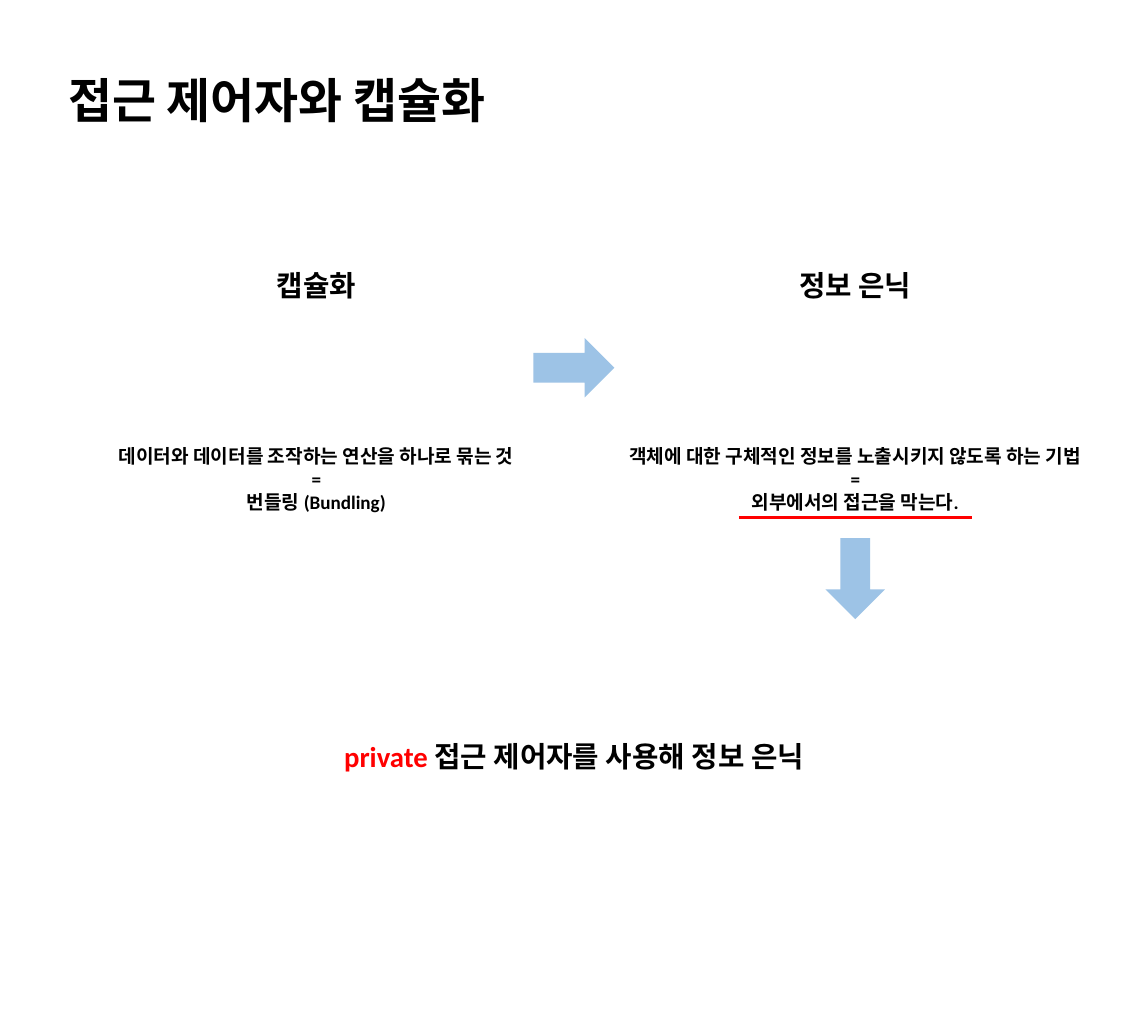
from dataclasses import dataclass

from lxml.etree import SubElement
from pptx import Presentation
from pptx.dml.color import RGBColor as RGB
from pptx.enum.shapes import MSO_CONNECTOR as Link, MSO_SHAPE as Kind
from pptx.enum.text import MSO_ANCHOR as Anchor, MSO_AUTO_SIZE as Fit, PP_ALIGN as Align
from pptx.oxml.ns import qn
from pptx.util import Inches, Pt

WIDE, HIGH = Inches(13.33), Inches(11.81)
# Column centres, in percent of the slide's width
LEFT, MID, RIGHT = 27.55, 50, 74.5
BLACK, RED, BLUE = "000000", "FF0000", "9DC3E6"


@dataclass
class Label:
    """Lines of (text, colour) runs, centred on a column."""
    mid: float
    top: float
    wide: float
    high: float
    size: int
    lines: list[list[tuple[str, str]]]


@dataclass
class Arrow:
    mid: float
    row: float
    turn: int


def across(part: float) -> int:
    return round(WIDE * part / 100)


def down(part: float) -> int:
    return round(HIGH * part / 100)


def paint(color, code: str) -> None:
    color.rgb = RGB.from_string(code)


def place(shape, left: float, top: float, wide: float, high: float) -> None:
    shape.left, shape.top = across(left), down(top)
    shape.width, shape.height = across(wide), down(high)


def write(shape, lines: list, *, size: int, align=Align.CENTER) -> None:
    frame = shape.text_frame
    frame.word_wrap = False
    frame.auto_size = Fit.SHAPE_TO_FIT_TEXT
    frame.vertical_anchor = Anchor.TOP
    for i, line in enumerate(lines):
        para = frame.add_paragraph() if i else frame.paragraphs[0]
        para.alignment = align
        for text, code in line:
            run = para.add_run()
            run.text = text
            font = run.font
            font.name, font.size, font.bold = "Calibri", Pt(size), True
            paint(font.color, code)


def plain(*lines: str) -> list:
    return [[(line, BLACK)] for line in lines]


def add_label(slide, label: Label) -> None:
    box = slide.shapes.add_textbox(0, 0, 0, 0)
    place(box, label.mid - label.wide / 2, label.top, label.wide, label.high)
    write(box, label.lines, size=label.size)


def add_arrow(slide, arrow: Arrow) -> None:
    wide, high = 5.18, 7.96
    shape = slide.shapes.add_shape(Kind.DOWN_ARROW, 0, 0, 0, 0)
    place(shape, arrow.mid - wide / 2, arrow.row - high / 2, wide, high)
    shape.rotation = arrow.turn
    shape.shadow.inherit = False
    shape.fill.solid()
    paint(shape.fill.fore_color, BLUE)
    shape.line.fill.background()


def add_rule(slide, mid: float, row: float, wide: float) -> None:
    start, end, y = across(mid - wide / 2), across(mid + wide / 2), down(row)
    rule = slide.shapes.add_connector(Link.STRAIGHT, start, y, end, y)
    paint(rule.line.color, RED)
    rule.line.width = Pt(3)
    SubElement(rule._element.spPr, qn("a:effectLst"))


LABELS = [
    # Terms
    Label(LEFT, 25.91, 9.08, 4.23, 24, plain("캡슐화")),
    Label(RIGHT, 25.91, 12.15, 4.23, 24, plain("정보 은닉")),
    # Meanings
    Label(LEFT, 43.27, 39.16, 7.71, 16, plain(
        "데이터와 데이터를 조작하는 연산을 하나로 묶는 것", "=", "번들링 (Bundling)")),
    Label(RIGHT, 43.27, 44.56, 7.71, 16, plain(
        "객체에 대한 구체적인 정보를 노출시키지 않도록 하는 기법", "=",
        "외부에서의 접근을 막는다.")),
    # Conclusion
    Label(MID, 72.23, 44.56, 4.23, 24,
          [[("private", RED), (" 접근 제어자를 사용해 정보 은닉", BLACK)]]),
]
ARROWS = [Arrow(MID, 36.16, 270), Arrow(RIGHT, 56.9, 0)]


def main() -> None:
    deck = Presentation()
    deck.slide_width, deck.slide_height = WIDE, HIGH
    slide = deck.slides.add_slide(deck.slide_layouts[5])

    # Title
    title = slide.shapes.title
    place(title, 5.18, 6.52, 41.26, 6.52)
    write(title, plain("접근 제어자와 캡슐화"), size=40, align=Align.LEFT)

    # Diagram
    for label in LABELS:
        add_label(slide, label)
    for arrow in ARROWS:
        add_arrow(slide, arrow)
    add_rule(slide, RIGHT, 50.89, 20.26)

    deck.save("out.pptx")


if __name__ == "__main__":
    main()
